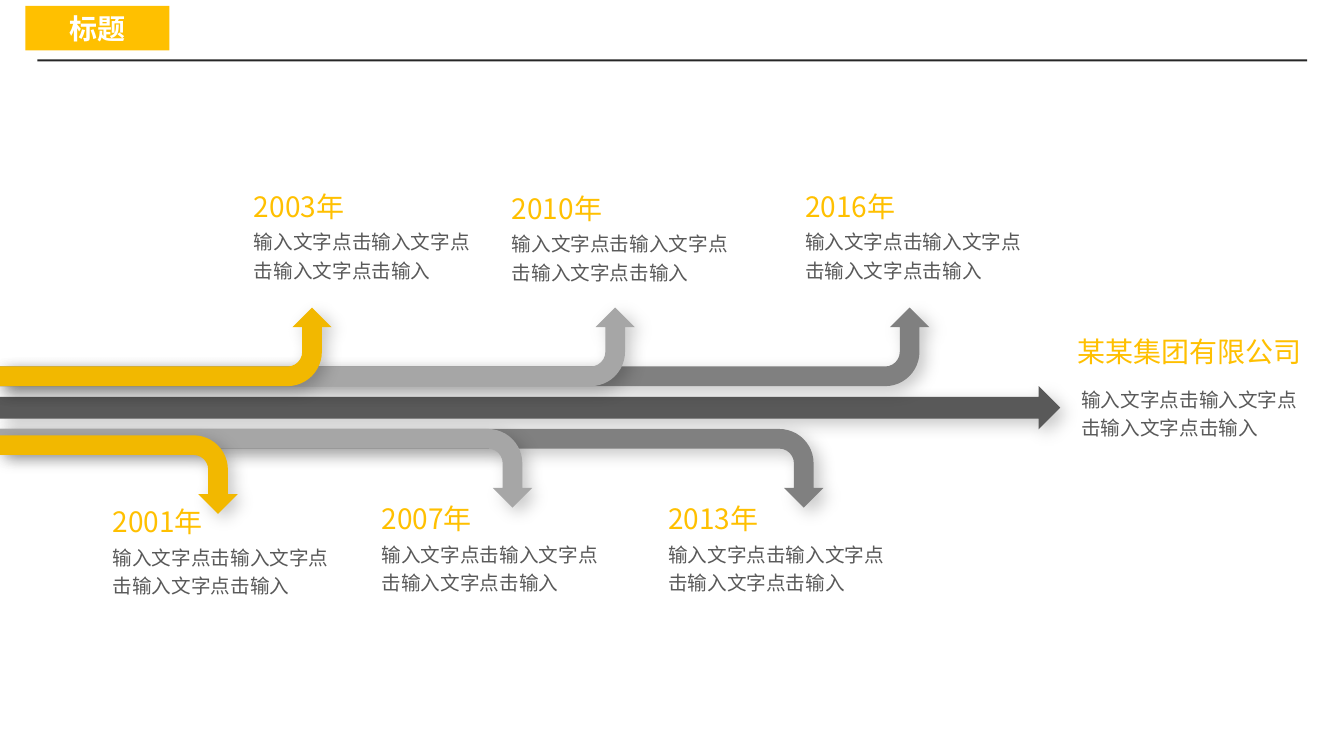
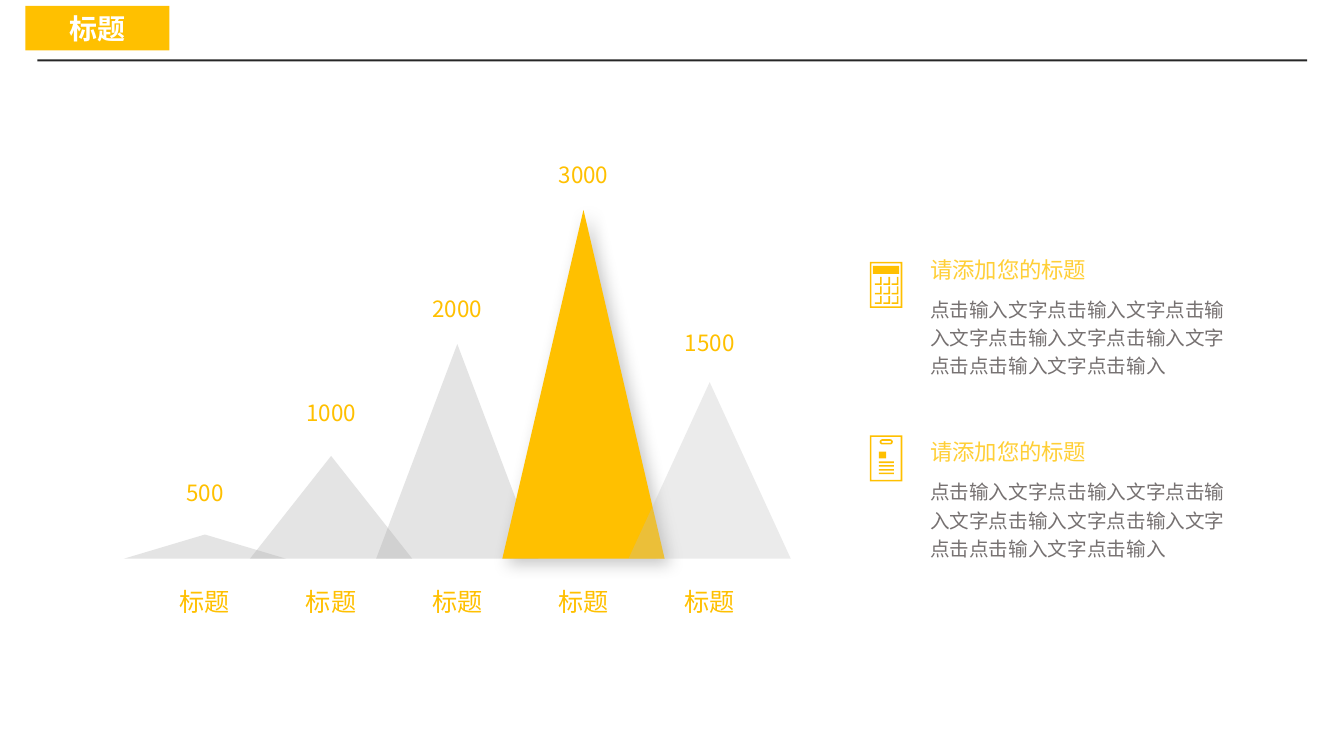
from dataclasses import dataclass

from lxml import etree
from pptx import Presentation
from pptx import util as u
from pptx.dml.color import RGBColor
from pptx.enum import shapes, text
from pptx.oxml.ns import qn


@dataclass(frozen=True)
class Theme:
    font: str = "Noto Sans CJK SC"
    yellow: str = "FFC000"
    amber: str = "F2B800"
    light_yellow: str = "FFCF37"
    white: str = "FFFFFF"
    black: str = "000000"
    rule: str = "262626"
    dark: str = "595959"
    body: str = "767171"
    mid: str = "808080"
    light: str = "A6A6A6"
    pale: str = "BFBFBF"
    title: int = 20
    label: int = 18
    heading: int = 16
    copy: int = 14


theme = Theme()
preset = shapes.MSO_SHAPE
left, center = text.PP_ALIGN.LEFT, text.PP_ALIGN.CENTER


def paint(shape, colour, opacity=None, shadow=False):
    shape.fill.solid()
    shape.fill.fore_color.rgb = RGBColor.from_string(colour)
    shape.line.fill.background()
    shape.shadow.inherit = False
    properties = shape._element.spPr
    if opacity:
        tint = properties.find(qn("a:solidFill")).find(qn("a:srgbClr"))
        etree.SubElement(tint, qn("a:alpha"), val=str(opacity * 1000))
    if shadow:
        outer = etree.SubElement(
            properties.find(qn("a:effectLst")), qn("a:outerShdw"),
            blurRad=str(u.Pt(12)), dist=str(u.Pt(5)), dir=str(45 * 60000),
            algn="tl", rotWithShape="0")
        tint = etree.SubElement(outer, qn("a:srgbClr"), val=theme.black)
        etree.SubElement(tint, qn("a:alpha"), val="21000")


def write(shape, words, size, colour, align=left, spacing=None, bold=False):
    shape.text_frame.word_wrap = True
    paragraph = shape.text_frame.paragraphs[0]
    paragraph.alignment = align
    paragraph.line_spacing = spacing
    run = paragraph.add_run()
    run.text = words
    run.font.name = theme.font
    run.font.size = u.Pt(size)
    run.font.bold = bold
    run.font.color.rgb = RGBColor.from_string(colour)
    etree.SubElement(run._r.get_or_add_rPr(), qn("a:ea"), typeface=theme.font)


deck = Presentation()
deck.slide_width, deck.slide_height = u.Cm(33.87), u.Cm(19.05)

for _ in range(2):
    slide = deck.slides.add_slide(deck.slide_layouts[5])
    rule = slide.shapes.add_shape(
        preset.RECTANGLE, u.Cm(0.94), u.Cm(1.5), u.Cm(32), u.Cm(0.05))
    paint(rule, theme.rule)
    title = slide.shapes.title
    title.left, title.top = u.Cm(0.64), u.Cm(0.15)
    title.width, title.height = u.Cm(3.63), u.Cm(1.12)
    title.text_frame.auto_size = text.MSO_AUTO_SIZE.NONE
    title.text_frame.vertical_anchor = text.MSO_ANCHOR.MIDDLE
    paint(title, theme.yellow)
    write(title, "标题", theme.title, theme.white, center, bold=True)

timeline, peaks = deck.slides

trunk = timeline.shapes.add_shape(
    preset.RIGHT_ARROW, u.Cm(0), u.Cm(9.73), u.Cm(26.72), u.Cm(1.09))
paint(trunk, theme.dark, shadow=True)

branch_height = 1.98
branches = [
    (23.42, 7.75, True, theme.mid),
    (20.75, 10.81, False, theme.mid),
    (16, 7.75, True, theme.light),
    (8.36, 7.75, True, theme.amber),
    (13.41, 10.81, False, theme.light),
    (5.99, 10.97, False, theme.amber),
]
for length, top, upward, colour in branches:
    inset = (length - branch_height) / 2
    branch = timeline.shapes.add_shape(
        preset.BENT_ARROW, u.Cm(inset), u.Cm(top - inset),
        u.Cm(branch_height), u.Cm(length))
    branch.rotation = 90
    if upward:
        branch._element.spPr.xfrm.set("flipH", "1")
    paint(branch, colour, shadow=True)

milestones = [
    ("某某集团有限公司", 26.9, 8.31, 6.97, 0.1, 1.22),
    ("2001年", 2.59, 12.6, 3.61, 0, 0.91),
    ("2003年", 6.15, 4.65, 3.61, 0, 0.91),
    ("2007年", 9.37, 12.52, 3.61, 0, 0.91),
    ("2010年", 12.65, 4.7, 3.61, 0, 0.91),
    ("2013年", 16.59, 12.52, 3.61, 0, 0.91),
    ("2016年", 20.04, 4.65, 3.61, 0, 0.91),
]
for name, x, y, width, indent, drop in milestones:
    heading = timeline.shapes.add_textbox(
        u.Cm(x), u.Cm(y), u.Cm(width), u.Cm(1.12))
    write(heading, name, theme.title, theme.yellow)
    detail = timeline.shapes.add_textbox(
        u.Cm(x + indent), u.Cm(y + drop), u.Cm(6.17), u.Cm(1.7))
    write(detail, "输入文字点击输入文字点击输入文字点击输入",
          theme.copy, theme.dark, spacing=1.2)

peak_left, peak_step, peak_width, baseline = 3.12, 3.18, 4.09, 14.08
label_width = 2.06
peak_rows = [
    ("500", 0.61, 11.96, theme.light, 30),
    ("1000", 2.59, 9.93, theme.light, 30),
    ("2000", 5.41, 7.32, theme.light, 30),
    ("3000", 8.79, 3.94, theme.yellow, None),
    ("1500", 4.45, 8.18, theme.pale, 30),
]
for index, (amount, height, amount_top, colour, opacity) in enumerate(peak_rows):
    x = peak_left + index * peak_step
    peak = peaks.shapes.add_shape(
        preset.ISOSCELES_TRIANGLE, u.Cm(x), u.Cm(baseline - height),
        u.Cm(peak_width), u.Cm(height))
    paint(peak, colour, opacity, shadow=opacity is None)
    label_left = x + (peak_width - label_width) / 2
    for words, y, size in [("标题", 14.66, theme.label),
                           (amount, amount_top, theme.heading)]:
        label = peaks.shapes.add_textbox(
            u.Cm(label_left), u.Cm(y), u.Cm(label_width), u.Cm(1))
        write(label, words, size, theme.yellow, center)

frame = [(0, 0, 82, 116), (4, 4, 78, 112)]
calculator_boxes = frame + [(8, 10, 74, 30)]
badge_boxes = frame + [(23, 41, 41, 58)]
badge_boxes += [(23, y, 61, y + 4) for y in (66, 75, 85, 94)]
key = [(13, 54), (26, 54), (26, 38), (30, 38), (30, 58), (13, 58)]
keys = [[(x + column * 21, y + row * 24) for x, y in key]
        for row in range(3) for column in range(3)]

icon_left = 21.92
notes = [(6.32, 6.6, calculator_boxes, keys), (10.92, 10.97, badge_boxes, [])]
for y, icon_top, boxes, outlines in notes:
    contours = [[(x1, y1), (x2, y1), (x2, y2), (x1, y2)]
                for x1, y1, x2, y2 in boxes] + outlines
    builder = peaks.shapes.build_freeform(0, 0, scale=u.Cm(0.01))
    for contour in contours:
        builder.move_to(*contour[0])
        builder.add_line_segments(contour[1:], close=True)
    icon = builder.convert_to_shape(u.Cm(icon_left), u.Cm(icon_top))
    paint(icon, theme.yellow)

    heading = peaks.shapes.add_textbox(
        u.Cm(23.19), u.Cm(y), u.Cm(6.15), u.Cm(0.94))
    write(heading, "请添加您的标题", theme.heading, theme.light_yellow)
    detail = peaks.shapes.add_textbox(
        u.Cm(23.19), u.Cm(y + 0.94), u.Cm(8.18), u.Cm(2.41))
    write(detail, "点击输入文字点击输入文字点击输入文字点击输入文字"
          "点击输入文字点击点击输入文字点击输入",
          theme.copy, theme.body, spacing=1.2)

slot = peaks.shapes.add_shape(
    preset.ROUNDED_RECTANGLE, u.Cm(icon_left + 0.27), u.Cm(11.09),
    u.Cm(0.29), u.Cm(0.09))
slot.adjustments[0] = 0.5
slot.shadow.inherit = False
slot.fill.background()
slot.line.color.rgb = RGBColor.from_string(theme.yellow)
slot.line.width = u.Pt(1.2)

deck.save("out.pptx")
